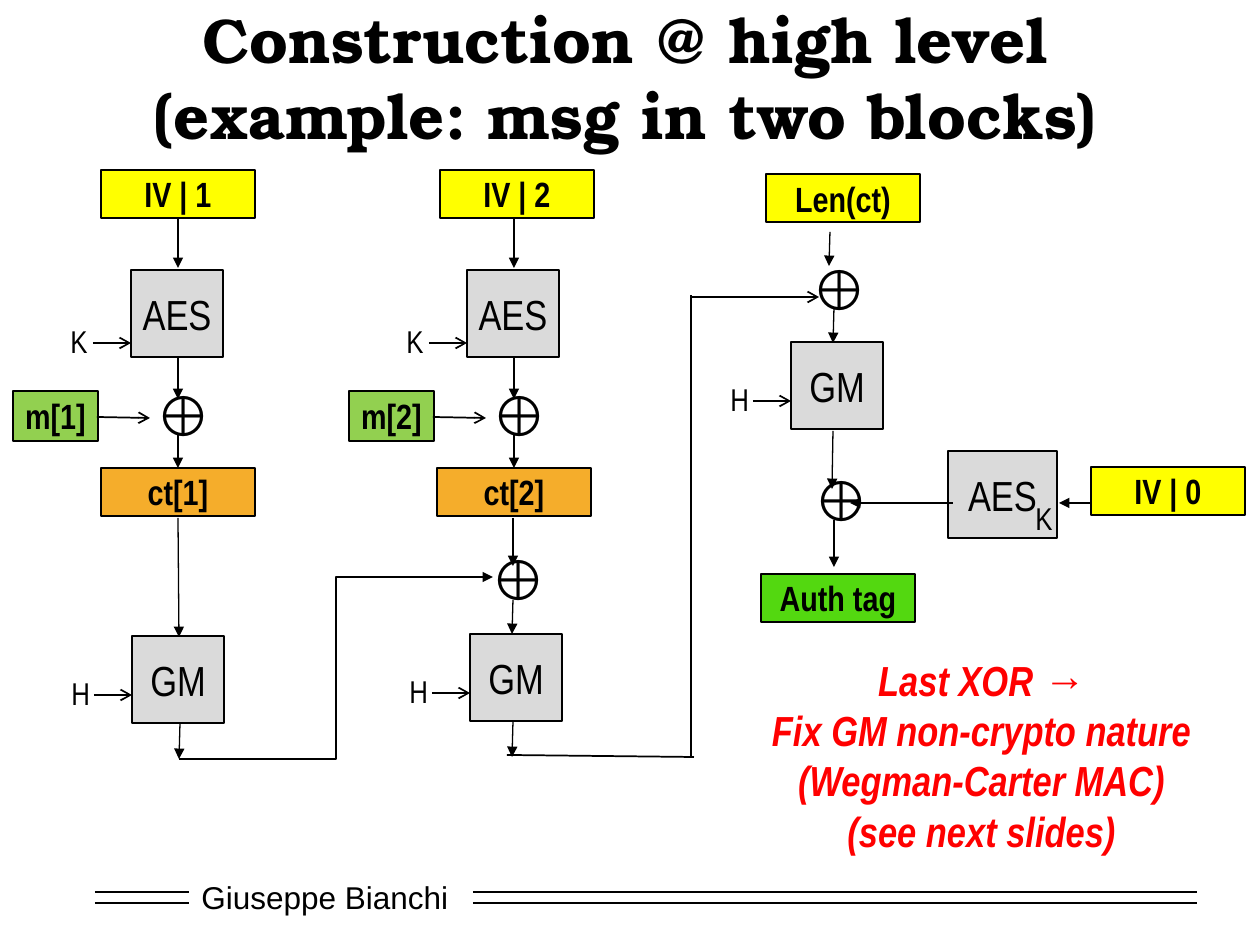
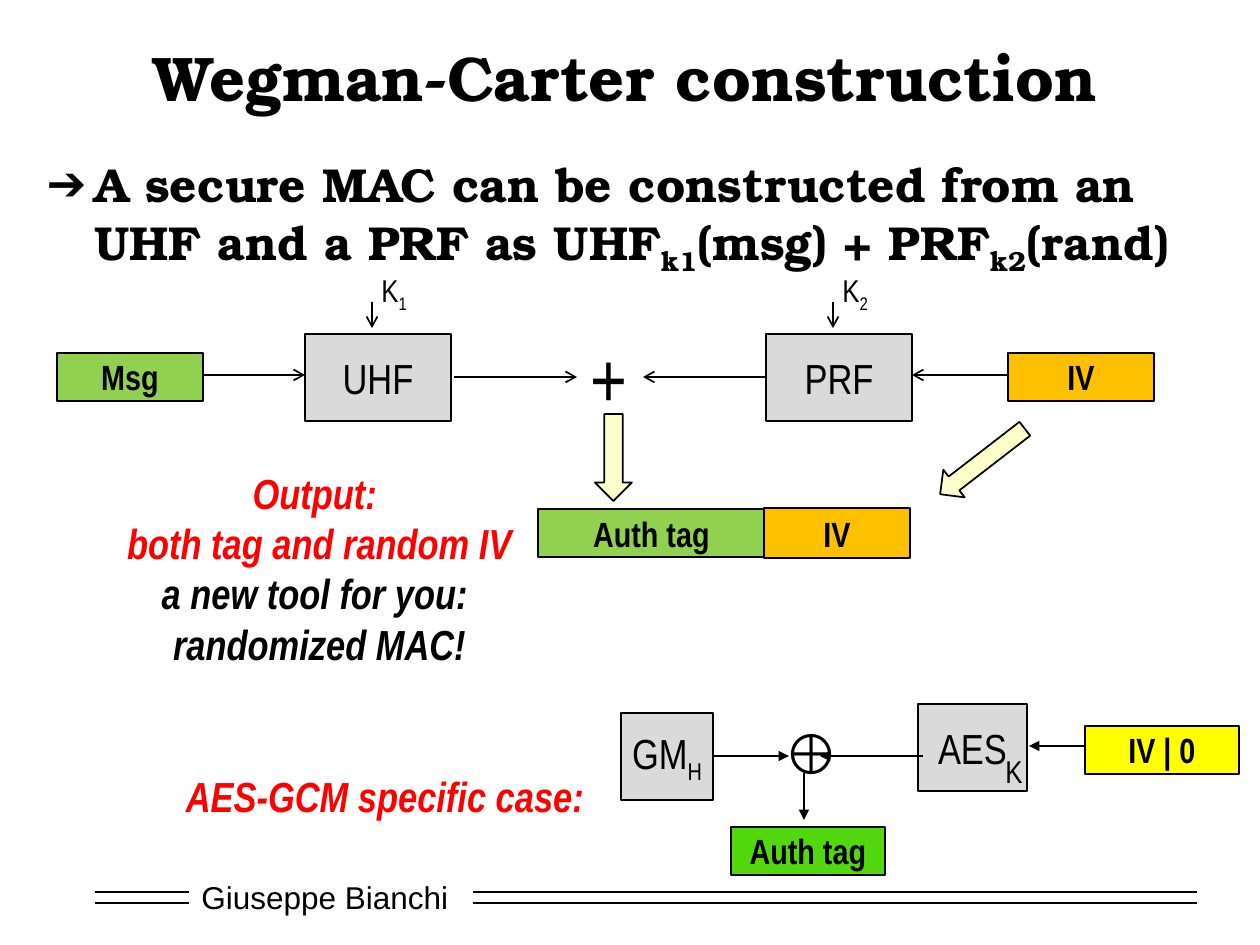
from dataclasses import dataclass

from lxml import etree
from pptx import Presentation
from pptx.dml.color import RGBColor
from pptx.enum import shapes, text
from pptx.oxml.ns import qn
from pptx.util import Emu, Pt

# Shared look
BLACK = RGBColor(0x00, 0x00, 0x00)
WHITE = RGBColor(0xFF, 0xFF, 0xFF)
RED = RGBColor(0xFF, 0x00, 0x00)
GREY = RGBColor(0xDA, 0xDA, 0xDA)
YELLOW = RGBColor(0xFF, 0xFF, 0x00)
PALE_YELLOW = RGBColor(0xFF, 0xFF, 0x99)
LIME = RGBColor(0x92, 0xD0, 0x50)
GREEN = RGBColor(0x53, 0xD8, 0x10)
ORANGE = RGBColor(0xF5, 0xAD, 0x2B)
AMBER = RGBColor(0xFF, 0xC0, 0x00)
SERIF, SANS, NARROW = "TeX Gyre Bonum", "Arial", "Arial Narrow"
PIXELS_PER_INCH = 126
LABEL_W, LABEL_H = 154, 48
CIPHER_W, CIPHER_H = 92, 87
COLUMN_STEP = 336


def px(pixels: float) -> Emu:
    return Emu(round(pixels * 914400 / PIXELS_PER_INCH))


def frame(left: float, top: float, width: float, height: float) -> list[Emu]:
    return [px(n) for n in (left, top, width, height)]


@dataclass
class Box:
    """A filled block; bold labels are 20 pt, plain functions 24 pt."""
    content: str
    left: int
    top: int
    fill: RGBColor = GREY
    width: int = LABEL_W
    height: int = LABEL_H
    bold: bool = True


@dataclass
class Arrow:
    x1: int
    y1: int
    x2: int
    y2: int
    head: str = "triangle"
    weight: float = 0.75
    kind: shapes.MSO_CONNECTOR = shapes.MSO_CONNECTOR.STRAIGHT


@dataclass
class Column:
    """One message block on the first slide."""
    number: int
    left: int
    iv_left: int


# Text
def write(paragraph, content: str, size: float, font: str = NARROW,
          color: RGBColor = BLACK, bold: bool = False, italic: bool = False) -> None:
    """Fill a paragraph; parts between tildes become subscripts."""
    for index, part in enumerate(content.split("~")):
        if part:
            run = paragraph.add_run()
            run.text = part
            if index % 2:
                run._r.get_or_add_rPr().set("baseline", "-25000")
    style = paragraph.font
    style.name, style.size, style.color.rgb = font, Pt(size), color
    style.bold, style.italic = bold, italic


def add_label(slide, content: str, left: int, top: int, width: int, height: int,
              size: float) -> None:
    label = slide.shapes.add_textbox(*frame(left, top, width, height)).text_frame
    label.word_wrap = True
    write(label.paragraphs[0], content, size)


def add_remark(slide, lines: list[tuple[str, RGBColor]], left: int, top: int,
               width: int, height: int) -> None:
    remark = slide.shapes.add_textbox(*frame(left, top, width, height)).text_frame
    remark.word_wrap = False
    for index, (line, color) in enumerate(lines):
        paragraph = remark.add_paragraph() if index else remark.paragraphs[0]
        paragraph.alignment = text.PP_ALIGN.CENTER
        write(paragraph, line, 24, color=color, bold=True, italic=True)


def add_xor(slide, left: int, top: int) -> None:
    add_label(slide, "⊕", left, top, 69, 81, 32)


# Blocks and lines
def add_box(slide, box: Box) -> None:
    block = slide.shapes.add_shape(shapes.MSO_SHAPE.RECTANGLE,
                                   *frame(box.left, box.top, box.width, box.height))
    block.shadow.inherit = False
    block.fill.solid()
    block.fill.fore_color.rgb = box.fill
    block.line.color.rgb, block.line.width = BLACK, Pt(0.75)
    body = block.text_frame
    body.word_wrap = False
    body.vertical_anchor = text.MSO_ANCHOR.MIDDLE
    body.paragraphs[0].alignment = text.PP_ALIGN.CENTER
    write(body.paragraphs[0], box.content, 20 if box.bold else 24, bold=box.bold)


def add_function(slide, content: str, left: int, top: int,
                 width: int = CIPHER_W) -> None:
    add_box(slide, Box(content, left, top, GREY, width, CIPHER_H, bold=False))


def add_arrow(slide, arrow: Arrow) -> None:
    line = slide.shapes.add_connector(
        arrow.kind, px(arrow.x1), px(arrow.y1), px(arrow.x2), px(arrow.y2))
    line.line.color.rgb, line.line.width = BLACK, Pt(arrow.weight)
    properties = line._element.spPr
    if arrow.head:
        tail = etree.SubElement(properties.find(qn("a:ln")), qn("a:tailEnd"))
        tail.set("type", arrow.head)
    etree.SubElement(properties, qn("a:effectLst"))


def add_keyed_function(slide, content: str, key: str, left: int, top: int,
                       drop: int) -> None:
    """A function block with its key coming in from the left, drop below its top."""
    add_function(slide, content, left, top)
    add_arrow(slide, Arrow(left - 38, top + drop, left, top + drop, "arrow", 1))
    add_label(slide, key, left - 73, top + drop - 27, 31, 50, 18)


def add_block_arrow(slide, left: int, top: int, width: int, height: int,
                    rotation: float = 0) -> None:
    arrow = slide.shapes.add_shape(shapes.MSO_SHAPE.DOWN_ARROW,
                                   *frame(left, top, width, height))
    arrow.rotation = rotation
    arrow.shadow.inherit = False
    arrow.fill.solid()
    arrow.fill.fore_color.rgb = PALE_YELLOW
    color = arrow._element.spPr.find(qn("a:solidFill"))[0]
    etree.SubElement(color, qn("a:alpha")).set("val", "50000")
    arrow.line.color.rgb, arrow.line.width = BLACK, Pt(1)


def add_tag_mask(slide, left: int, top: int, iv_left: int, iv_top: int,
                 feed_y: int) -> None:
    """Encrypt IV | 0 and XOR it into the authentication tag."""
    add_arrow(slide, Arrow(iv_left, feed_y, left + 111, feed_y))
    add_function(slide, "AES", left, top, 109)
    add_label(slide, "K", left + 75, top + 42, 31, 50, 18)
    add_box(slide, Box("IV | 0", iv_left, iv_top, YELLOW))
    add_arrow(slide, Arrow(left + 5, top + 52, left - 98, top + 52))
    add_xor(slide, left - 147, top + 8)
    add_arrow(slide, Arrow(left - 114, top + 69, left - 114, top + 116))
    add_box(slide, Box("Auth tag", left - 187, top + 123, GREEN))


def start_slide(deck, layout: int, heading: str):
    """Title and footer, the same on every slide."""
    slide = deck.slides.add_slide(deck.slide_layouts[layout])
    title = slide.shapes.title
    title.left, title.top, title.width, title.height = frame(95, 32, 1061, 89)
    title.text_frame.auto_size = text.MSO_AUTO_SIZE.NONE
    title.text_frame.vertical_anchor = text.MSO_ANCHOR.MIDDLE
    title.text_frame.text = heading
    paragraph = title.text_frame.paragraphs[0]
    paragraph.alignment = text.PP_ALIGN.CENTER
    write(paragraph, "", 36, SERIF, bold=True)

    author = slide.shapes.add_textbox(*frame(189, 872, 273, 50))
    author.fill.solid()
    author.fill.fore_color.rgb = WHITE
    author.text_frame.word_wrap = True
    author.text_frame.vertical_anchor = text.MSO_ANCHOR.MIDDLE
    write(author.text_frame.paragraphs[0], "Giuseppe Bianchi", 18, SANS)
    for y in (892, 903):
        for x1, x2 in ((95, 189), (473, 1197)):
            add_arrow(slide, Arrow(x1, y, x2, y, "", 1))
    return slide


def add_column(slide, column: Column) -> None:
    """IV through AES, XOR with the message block, giving the ciphertext."""
    x, axis = column.left, column.left + 77
    add_box(slide, Box(f"IV | {column.number}", column.iv_left, 170, YELLOW))
    add_arrow(slide, Arrow(axis, 218, axis, 268))
    add_keyed_function(slide, "AES", "K", x + 30, 270, 73)
    add_arrow(slide, Arrow(axis, 357, axis, 399))
    add_box(slide, Box(f"m[{column.number}]", x - 88, 391, LIME, 85, 50))
    add_arrow(slide, Arrow(x - 4, 417, x + 49, 418, "arrow", 1))
    add_xor(slide, x + 42, 374)
    add_arrow(slide, Arrow(axis, 433, axis, 468))
    add_box(slide, Box(f"ct[{column.number}]", x, 468, ORANGE))


def build_construction(deck) -> None:
    slide = start_slide(deck, 5, "Construction @ high level\v(example: msg in two blocks)")
    for column in (Column(1, 101, 101), Column(2, 101 + COLUMN_STEP, 440)):
        add_column(slide, column)

    # Hash chain under the ciphertexts
    add_arrow(slide, Arrow(178, 518, 179, 637))
    add_keyed_function(slide, "GM", "H", 132, 636, 59)
    add_arrow(slide, Arrow(180, 724, 179, 759))
    add_arrow(slide, Arrow(179, 759, 493, 577, weight=1,
                           kind=shapes.MSO_CONNECTOR.ELBOW))
    add_arrow(slide, Arrow(513, 518, 513, 566))
    add_xor(slide, 478, 538)
    add_arrow(slide, Arrow(513, 600, 512, 634))
    add_keyed_function(slide, "GM", "H", 470, 634, 59)
    add_arrow(slide, Arrow(513, 722, 512, 757))
    add_arrow(slide, Arrow(694, 757, 507, 755, "", 1))
    add_arrow(slide, Arrow(691, 758, 691, 295, "", 1))
    add_arrow(slide, Arrow(691, 297, 819, 297, "arrow", 1))

    # Length block and tag
    add_box(slide, Box("Len(ct)", 766, 174, YELLOW))
    add_arrow(slide, Arrow(830, 232, 829, 266))
    add_xor(slide, 799, 248)
    add_arrow(slide, Arrow(834, 308, 833, 343))
    add_keyed_function(slide, "GM", "H", 791, 342, 59)
    add_arrow(slide, Arrow(833, 431, 832, 489))
    add_tag_mask(slide, 948, 451, 1091, 467, 503)
    remark = ("Last XOR →", "Fix GM non-crypto nature",
              "(Wegman-Carter MAC)", "(see next slides)")
    add_remark(slide, [(line, RED) for line in remark], 757, 648, 449, 217)


def build_wegman_carter(deck) -> None:
    slide = start_slide(deck, 1, "Wegman-Carter construction")

    # Claim with an arrow bullet
    claim = slide.placeholders[1]
    claim.left, claim.top, claim.width, claim.height = frame(34, 149, 1150, 150)
    claim.text_frame.auto_size = text.MSO_AUTO_SIZE.NONE
    paragraph = claim.text_frame.paragraphs[0]
    write(paragraph, "A secure MAC can be constructed from an UHF and a PRF as "
          "UHF~k1~(msg) + PRF~k2~(rand)", 27.2, SERIF, bold=True)
    properties = paragraph._p.get_or_add_pPr()
    properties.set("marL", str(px(48)))
    properties.set("indent", str(-px(48)))
    bullet = etree.Element(qn("a:buChar"))
    bullet.set("char", "➔")
    properties.insert(0, bullet)

    # General scheme: hash and mask meet at the sum
    for name, key, left, axis in (("UHF", "K~1~", 305, 372), ("PRF", "K~2~", 766, 833)):
        add_function(slide, name, left, 334, 146)
        add_arrow(slide, Arrow(axis, 302, axis, 328, "arrow", 1))
        add_label(slide, key, axis - 3, 265, 63, 50, 18)
    add_box(slide, Box("Msg", 57, 353, LIME, 146))
    add_box(slide, Box("IV", 1008, 353, AMBER, 146))
    for x1, x2, y in ((203, 305, 375), (454, 577, 377), (765, 643, 377), (1008, 912, 375)):
        add_arrow(slide, Arrow(x1, y, x2, y, "arrow", 1))
    add_label(slide, "+", 578, 324, 63, 106, 44)
    add_block_arrow(slide, 595, 414, 37, 87)
    add_block_arrow(slide, 965, 408, 35, 107, 52.3)
    add_box(slide, Box("Auth tag", 538, 509, LIME, 227))
    add_box(slide, Box("IV", 764, 508, AMBER, 146, 50))
    add_remark(slide, [("Output: ", RED), ("both tag and random IV", RED),
                       ("a new tool for you: ", BLACK), ("randomized MAC!", BLACK)],
               113, 461, 413, 217)

    # Specific case
    add_function(slide, "GM~H~", 621, 713)
    add_arrow(slide, Arrow(713, 756, 789, 756))
    add_tag_mask(slide, 918, 704, 1085, 726, 746)
    add_remark(slide, [("AES-GCM specific case:", RED)], 171, 764, 428, 63)


presentation = Presentation()
presentation.slide_width, presentation.slide_height = px(1260), px(945)
build_construction(presentation)
build_wegman_carter(presentation)
presentation.save("out.pptx")
